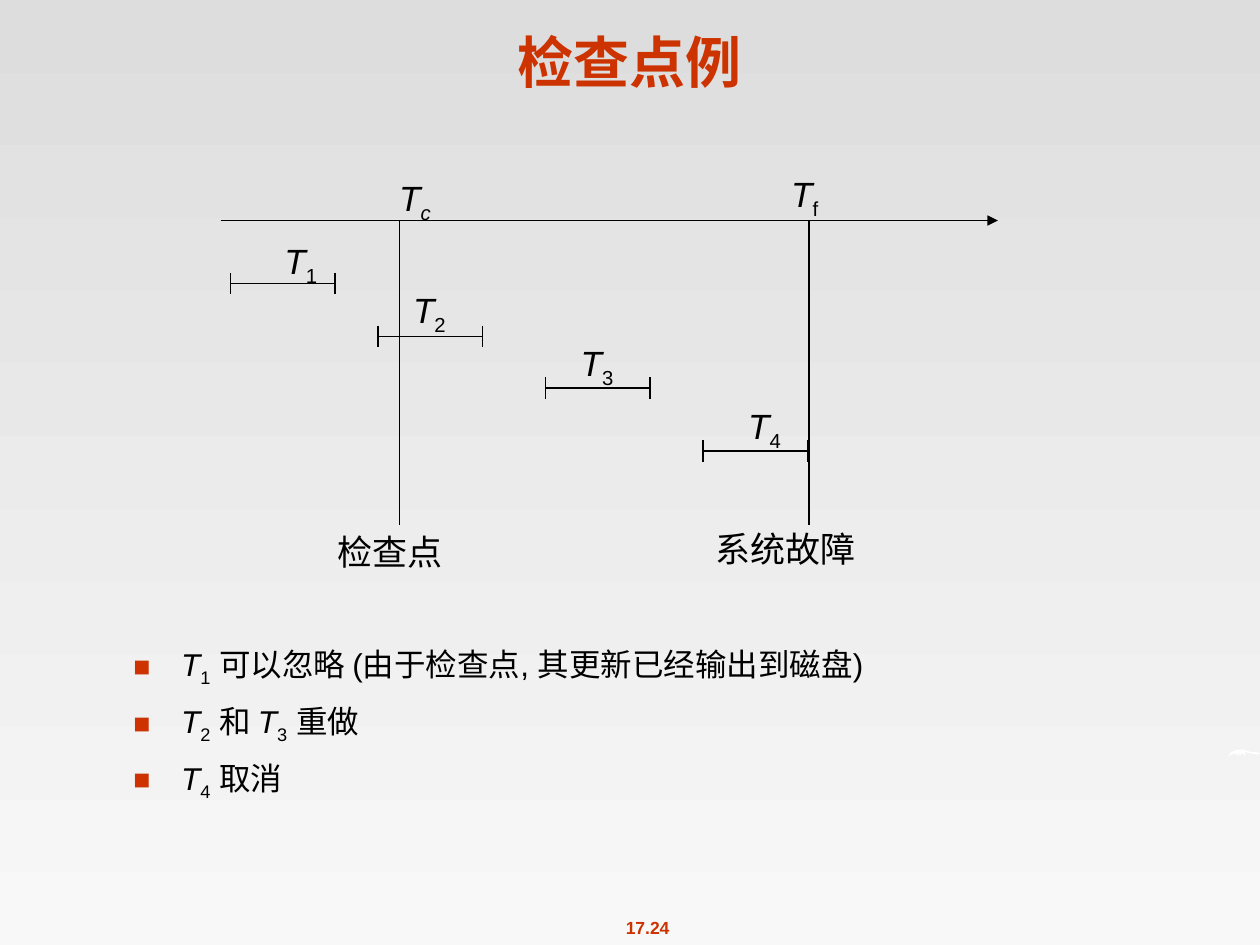
from lxml import etree
from pptx import Presentation
from pptx.dml.color import RGBColor
from pptx.enum import shapes, text
from pptx.oxml import ns
from pptx.util import Inches, Pt

BLACK = RGBColor(0x00, 0x00, 0x00)
WHITE = RGBColor(0xFF, 0xFF, 0xFF)
RED = RGBColor(0xCC, 0x33, 0x00)
BACKGROUND = (RGBColor(0xDD, 0xDD, 0xDD), RGBColor(0xF8, 0xF8, 0xF8))

TITLE = "检查点例"
PAGE_NUMBER = "17.24"

# A run is (text, style); styles are "plain", "italic", "sub" and "italic sub".
T = ("T", "italic")
BULLETS = [
    [T, ("1", "sub"), (" 可以忽略 (由于检查点, 其更新已经输出到磁盘)", "plain")],
    [T, ("2", "sub"), (" 和 ", "plain"), T, ("3", "sub"), (" 重做", "plain")],
    [T, ("4", "sub"), (" 取消", "plain")],
]

AXIS_Y, AXIS_START, AXIS_END = 1.75, 1.75, 7.92
EVENT_BOTTOM = 4.17
CHECKPOINT_X, FAILURE_X = 3.17, 6.42
SPAN_WIDTH, TICK_HEIGHT = 0.83, 0.17
# Left end and height of each transaction's time span
TRANSACTION_SPANS = [(1.83, 2.25), (3, 2.67), (4.33, 3.08), (5.58, 3.58)]

# (left, top, width, height), runs
LABELS = [
    ((3.07, 1.35, 0.45, 0.48), [T, ("c", "italic sub")]),
    ((6.18, 1.32, 0.41, 0.48), [T, ("f", "sub")]),
    ((2.16, 1.85, 0.46, 0.48), [T, ("1", "sub")]),
    ((3.18, 2.24, 0.46, 0.48), [T, ("2", "sub")]),
    ((4.51, 2.66, 0.46, 0.48), [T, ("3", "sub")]),
    ((5.84, 3.16, 0.46, 0.48), [T, ("4", "sub")]),
    ((2.58, 4.16, 1.03, 0.44), [("检查点", "plain")]),
    ((5.58, 4.14, 1.31, 0.44), [("系统故障", "plain")]),
]

SWOOSH = [
    (9.75, 6.01), (9.76, 5.98), (9.79, 5.96), (9.83, 5.95), (9.87, 5.95),
    (9.93, 5.97), (9.97, 5.97), (10, 5.98), (9.98, 5.99), (9.93, 5.98),
    (9.88, 5.97), (9.88, 6), (9.85, 5.97), (9.85, 6), (9.82, 5.97),
    (9.83, 6), (9.8, 5.98), (9.77, 5.99),
]


def format_font(font, size, color=BLACK, bold=False, italic=False):
    values = {"name": "Arial", "size": Pt(size), "bold": bold, "italic": italic}
    for name, value in values.items():
        setattr(font, name, value)
    font.color.rgb = color


def add_runs(paragraph, runs, size):
    for content, style in runs:
        run = paragraph.add_run()
        run.text = content
        format_font(run.font, size, italic="italic" in style)
        if "sub" in style:
            run._r.get_or_add_rPr().set("baseline", "-25000")


def add_text_box(slide, box, wrap=False):
    frame = slide.shapes.add_textbox(*map(Inches, box)).text_frame
    frame.word_wrap = wrap
    return frame


def add_line(slide, start, end, arrow=False):
    connector = slide.shapes.add_connector(
        shapes.MSO_CONNECTOR.STRAIGHT, *map(Inches, start + end))
    connector.line.color.rgb = BLACK
    connector.line.width = Pt(0.75)
    if arrow:
        line = connector.line._get_or_add_ln()
        etree.SubElement(line, ns.qn("a:tailEnd"), type="triangle")
    etree.SubElement(connector._element.spPr, ns.qn("a:effectLst"))


def add_bullet(paragraph):
    properties = paragraph._p.get_or_add_pPr()
    properties.set("marL", str(Inches(0.38)))
    properties.set("indent", str(-Inches(0.38)))
    color = etree.SubElement(properties, ns.qn("a:buClr"))
    etree.SubElement(color, ns.qn("a:srgbClr"), val=str(RED))
    etree.SubElement(properties, ns.qn("a:buSzPct"), val="90000")
    etree.SubElement(properties, ns.qn("a:buFont"), typeface="Arial")
    etree.SubElement(properties, ns.qn("a:buChar"), char="■")


def add_background(slide):
    fill = slide.background.fill
    fill.gradient()
    fill.gradient_angle = 270
    for stop, color in zip(fill.gradient_stops, BACKGROUND):
        stop.color.rgb = color


def add_swoosh(slide):
    builder = slide.shapes.build_freeform(
        *map(Inches, SWOOSH[0]), scale=1.0)
    builder.add_line_segments(
        [(Inches(x), Inches(y)) for x, y in SWOOSH[1:]], close=True)
    swoosh = builder.convert_to_shape()
    swoosh.shadow.inherit = False
    swoosh.fill.solid()
    swoosh.fill.fore_color.rgb = WHITE
    swoosh.line.fill.background()


def add_title(slide):
    title = slide.shapes.title
    box = {"left": 0, "top": 0, "width": 10, "height": 0.8}
    for name, value in box.items():
        setattr(title, name, Inches(value))
    title.text_frame.text = TITLE
    title.text_frame.vertical_anchor = text.MSO_ANCHOR.BOTTOM
    paragraph = title.text_frame.paragraphs[0]
    paragraph.alignment = text.PP_ALIGN.CENTER
    format_font(paragraph.runs[0].font, 32, RED, bold=True)


def add_page_number(slide):
    paragraph = add_text_box(slide, (4.61, 7.23, 1.06, 0.27)).paragraphs[0]
    paragraph.alignment = text.PP_ALIGN.CENTER
    run = paragraph.add_run()
    run.text = PAGE_NUMBER
    format_font(run.font, 10, RED, bold=True)


def add_bullets(slide):
    frame = add_text_box(slide, (0.96, 5.07, 8.71, 1.78), wrap=True)
    for index, runs in enumerate(BULLETS):
        paragraph = frame.add_paragraph() if index else frame.paragraphs[0]
        add_bullet(paragraph)
        if index:
            paragraph.space_before = Pt(7.9)
        add_runs(paragraph, runs, 18)


def add_label(slide, box, runs):
    """Add a one-line label; without a right margin its text has room to spare."""
    frame = add_text_box(slide, box)
    frame.margin_right = 0
    paragraph = frame.paragraphs[0]
    paragraph.alignment = text.PP_ALIGN.LEFT
    add_runs(paragraph, runs, 20)


def add_timeline(slide):
    add_line(slide, (AXIS_START, AXIS_Y), (AXIS_END, AXIS_Y), arrow=True)
    for x in (CHECKPOINT_X, FAILURE_X):
        add_line(slide, (x, AXIS_Y), (x, EVENT_BOTTOM))
    for left, y in TRANSACTION_SPANS:
        right = left + SPAN_WIDTH
        add_line(slide, (left, y), (right, y))
        for x in (left, right):
            add_line(slide, (x, y - TICK_HEIGHT / 2), (x, y + TICK_HEIGHT / 2))
    for box, runs in LABELS:
        add_label(slide, box, runs)


def main():
    presentation = Presentation()
    presentation.slide_width = Inches(10)
    presentation.slide_height = Inches(7.5)
    slide = presentation.slides.add_slide(presentation.slide_layouts[5])
    add_background(slide)
    add_page_number(slide)
    add_swoosh(slide)
    add_title(slide)
    add_bullets(slide)
    add_timeline(slide)
    presentation.save("out.pptx")


if __name__ == "__main__":
    main()
